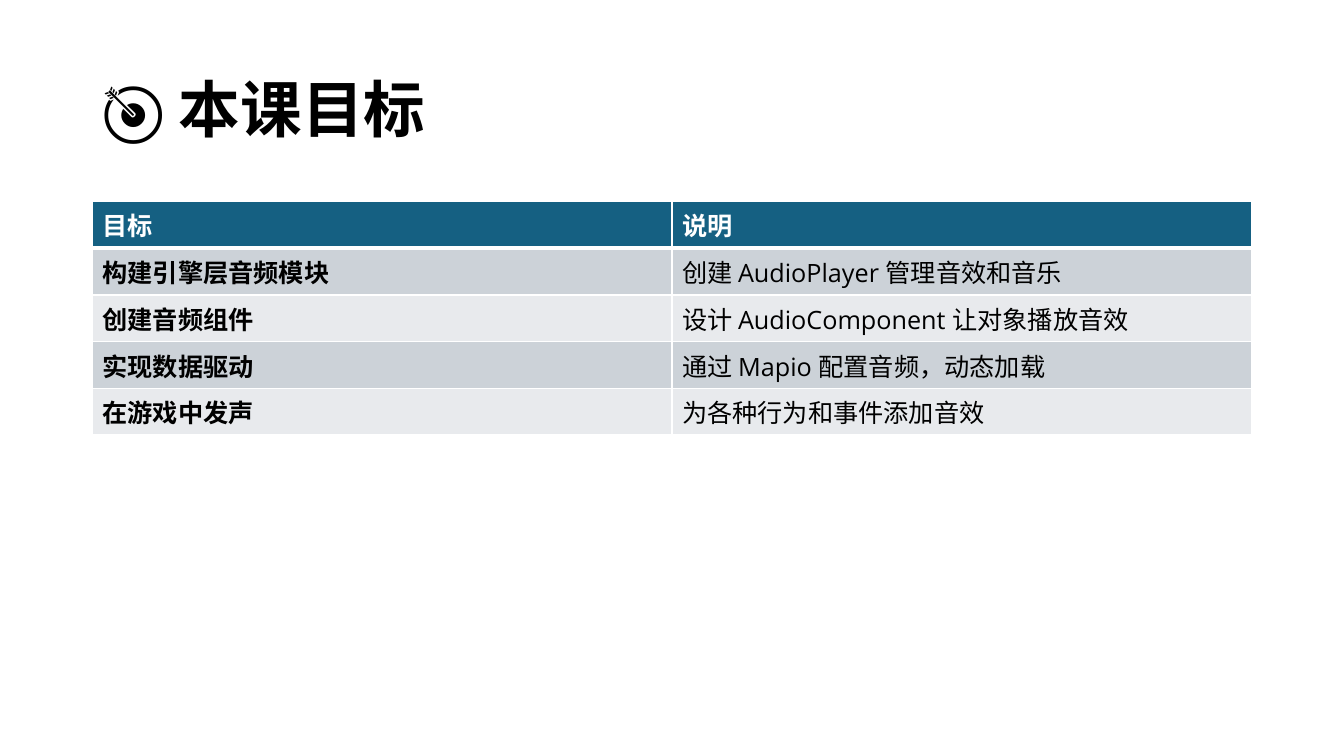
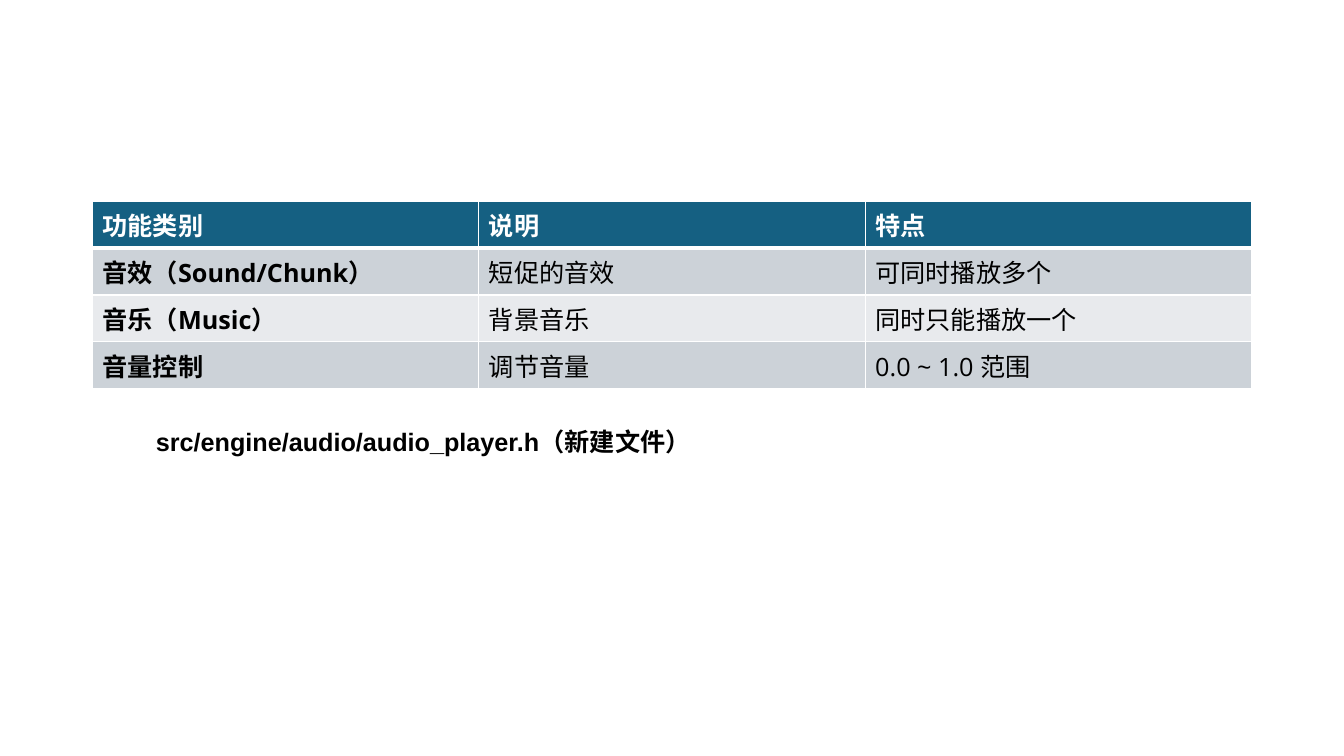
from lxml import etree
from pptx import Presentation
from pptx import util as u
from pptx.dml.color import RGBColor
from pptx.enum import text
from pptx.oxml.ns import qn

PX = 9525
WHITE = RGBColor(0xFF, 0xFF, 0xFF)
BLACK = RGBColor(0x00, 0x00, 0x00)
HEADER = RGBColor(0x15, 0x60, 0x82)
BANDS = [RGBColor(0xE8, 0xEA, 0xED), RGBColor(0xCC, 0xD2, 0xD8)]
LEFT, WIDTH = 88 * PX, 1104 * PX
TABLE_TOP, ROW_HEIGHT = 192 * PX, 39 * PX


def write(frame, words, size=18, font="Open Sans", color=BLACK, bold=True, spacing=1.0):
    paragraph = frame.paragraphs[0]
    paragraph.alignment = text.PP_ALIGN.LEFT
    paragraph.line_spacing = spacing
    run = paragraph.add_run()
    run.text = words
    run.font.size = u.Pt(size)
    run.font.name = font
    run.font.bold = bold
    run.font.color.rgb = color


def add_banded_table(slide, rows):
    """Add a table with a dark header, banded rows and white borders."""
    columns = len(rows[0])
    table = slide.shapes.add_table(
        len(rows), columns, LEFT, TABLE_TOP, WIDTH, ROW_HEIGHT * len(rows)
    ).table
    for row_index, row in enumerate(rows):
        table.rows[row_index].height = ROW_HEIGHT
        header = row_index == 0
        for column_index, words in enumerate(row):
            cell = table.cell(row_index, column_index)
            cell.vertical_anchor = text.MSO_ANCHOR.MIDDLE
            write(cell.text_frame, words, color=WHITE if header else BLACK,
                  bold=header or column_index == 0)
            cell.fill.solid()
            cell.fill.fore_color.rgb = HEADER if header else BANDS[row_index % 2]

            # Borders must precede the fill in the cell properties
            widths = {"L": 1, "R": 1, "T": 3 if row_index == 1 else 1, "B": 3 if header else 1}
            properties = cell._tc.get_or_add_tcPr()
            for position, (side, points) in enumerate(widths.items()):
                line = etree.Element(qn(f"a:ln{side}"), w=str(u.Pt(points)))
                fill = etree.SubElement(line, qn("a:solidFill"))
                etree.SubElement(fill, qn("a:srgbClr"), val=str(WHITE))
                properties.insert(position, line)


presentation = Presentation()
presentation.slide_width = 1280 * PX
presentation.slide_height = 720 * PX
title_layout, blank_layout = presentation.slide_layouts[5], presentation.slide_layouts[6]

# Lesson goals
slide = presentation.slides.add_slide(title_layout)
title = slide.shapes.title
title.left, title.top, title.width, title.height = LEFT, 38 * PX, WIDTH, 139 * PX
title.text_frame.vertical_anchor = text.MSO_ANCHOR.MIDDLE
write(title.text_frame, "🎯 本课目标", size=44, spacing=0.9)
add_banded_table(slide, [
    ("目标", "说明"),
    ("构建引擎层音频模块", "创建 AudioPlayer 管理音效和音乐"),
    ("创建音频组件", "设计 AudioComponent 让对象播放音效"),
    ("实现数据驱动", "通过 Mapio 配置音频，动态加载"),
    ("在游戏中发声", "为各种行为和事件添加音效"),
])

# Audio features
slide = presentation.slides.add_slide(blank_layout)
add_banded_table(slide, [
    ("功能类别", "说明", "特点"),
    ("音效（Sound/Chunk）", "短促的音效", "可同时播放多个"),
    ("音乐（Music）", "背景音乐", "同时只能播放一个"),
    ("音量控制", "调节音量", "0.0 ~ 1.0 范围"),
])
file_label = slide.shapes.add_textbox(139 * PX, 401 * PX, 640 * PX, 38 * PX)
file_label.text_frame.word_wrap = True
file_label.text_frame.auto_size = text.MSO_AUTO_SIZE.SHAPE_TO_FIT_TEXT
write(file_label.text_frame, "src/engine/audio/audio_player.h（新建文件）", font="Arial")

presentation.save("out.pptx")
